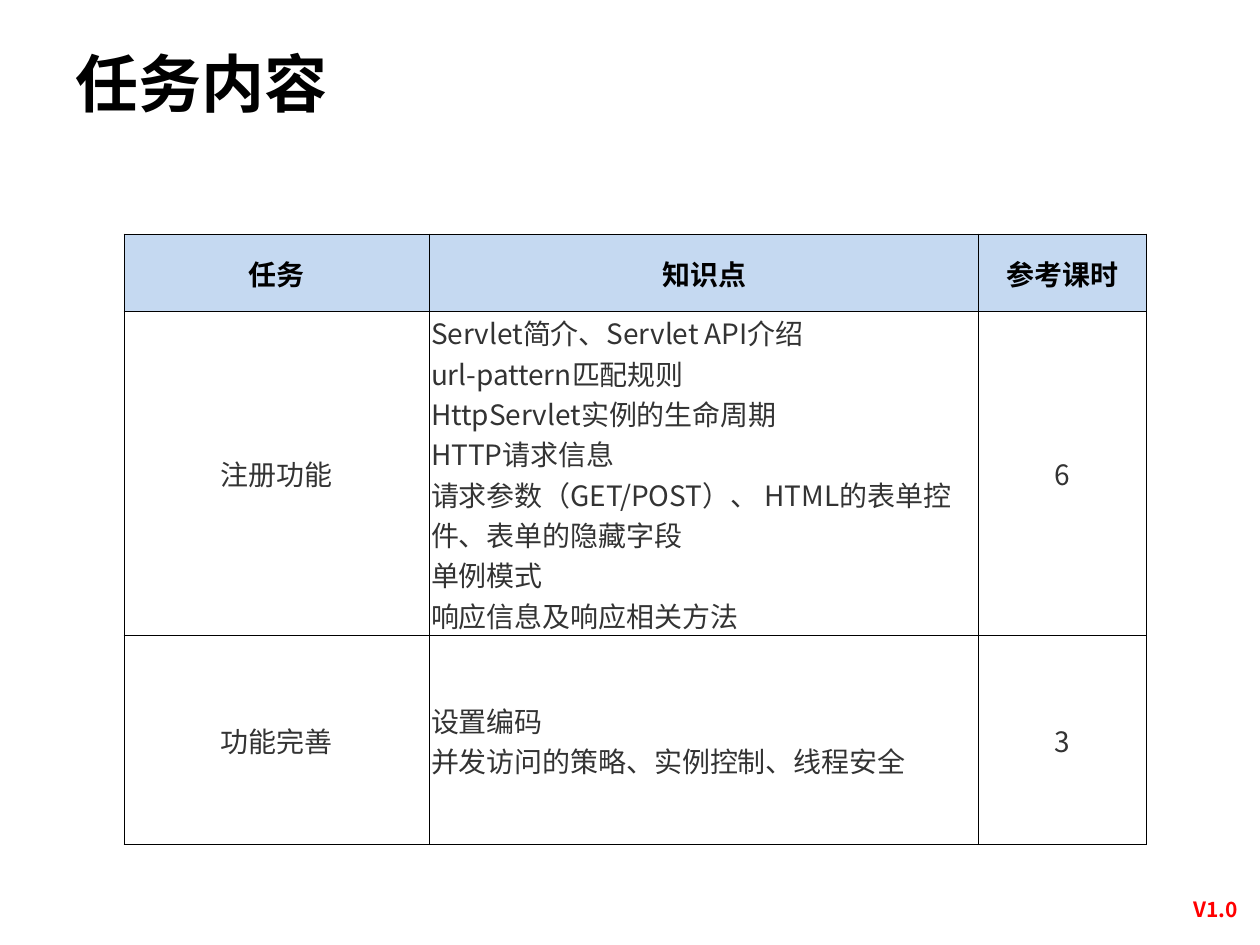
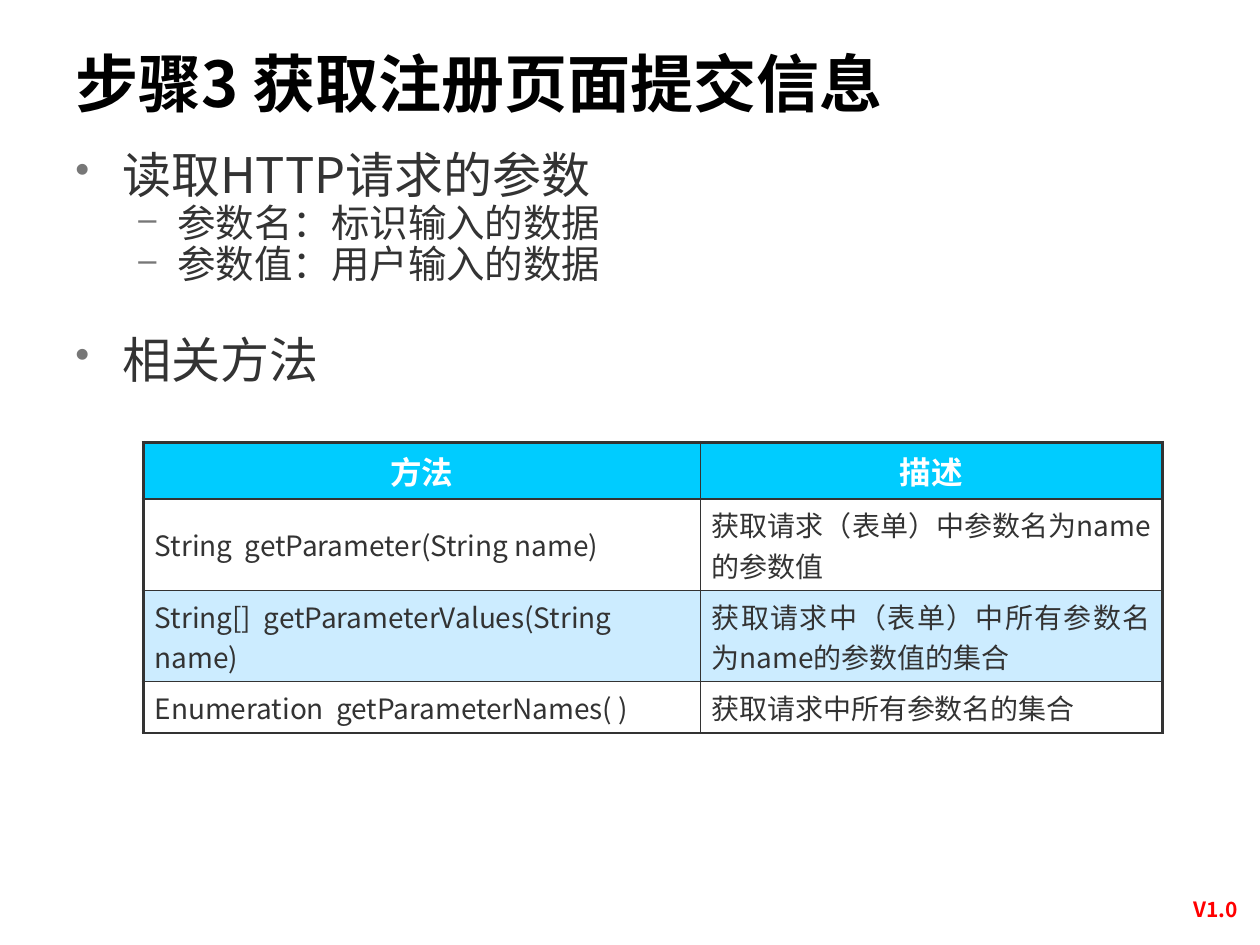
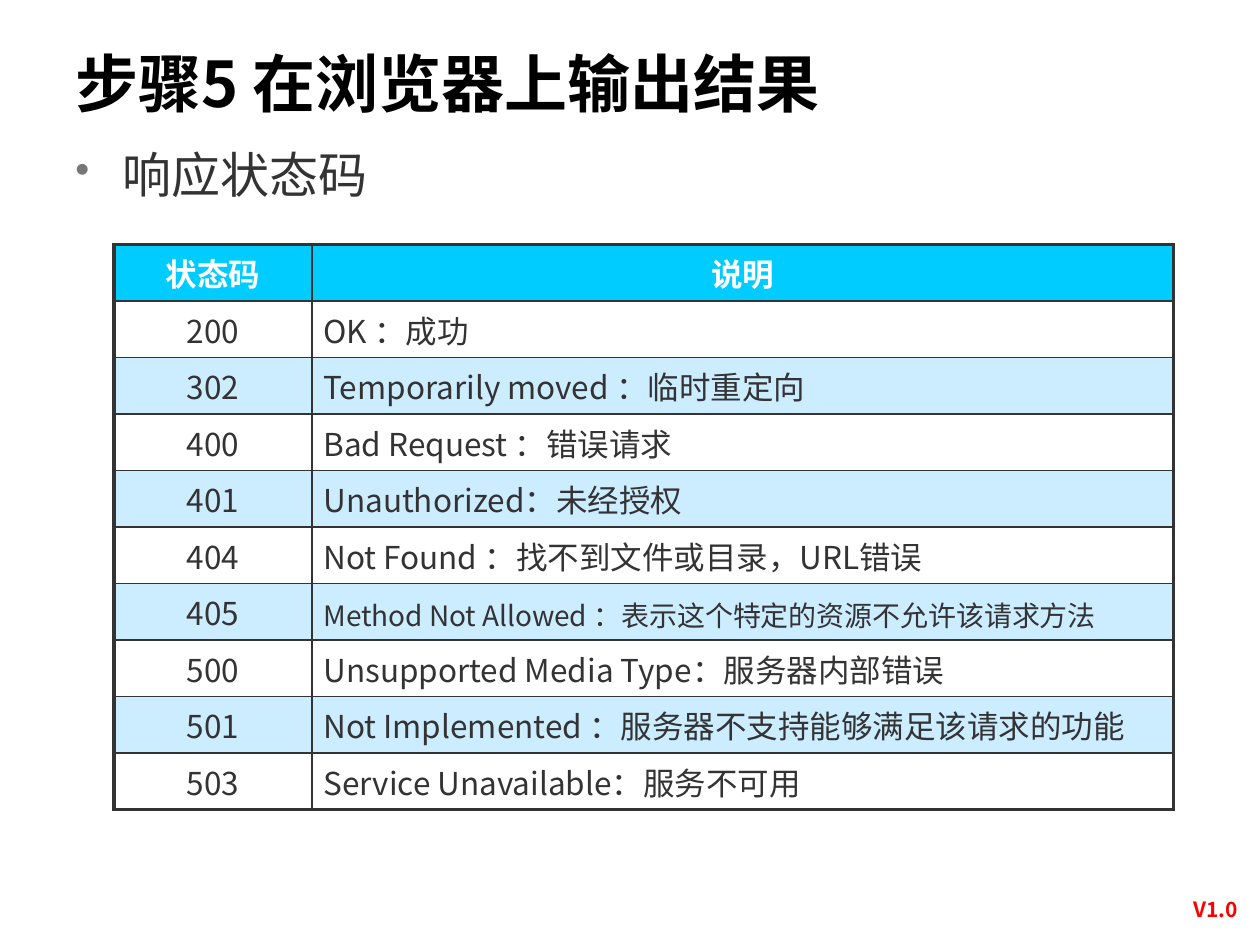
from lxml import etree
from pptx import Presentation
from pptx.dml.color import RGBColor
from pptx.enum.text import MSO_ANCHOR, PP_ALIGN
from pptx.oxml.ns import qn
from pptx.util import Cm, Pt

BLACK = RGBColor(0x00, 0x00, 0x00)
WHITE = RGBColor(0xFF, 0xFF, 0xFF)
INK = RGBColor(0x33, 0x33, 0x33)
BULLET_GREY = RGBColor(0x77, 0x77, 0x77)
VERSION_RED = RGBColor(0xFF, 0x00, 0x00)
PLAN_BLUE = RGBColor(0xC5, 0xD9, 0xF1)
HEADER_CYAN = RGBColor(0x00, 0xCC, 0xFF)
BAND_BLUE = RGBColor(0xCC, 0xEC, 0xFF)

LEFT, CENTER, JUSTIFY = PP_ALIGN.LEFT, PP_ALIGN.CENTER, PP_ALIGN.JUSTIFY
MIDDLE, BOTTOM, TOP = MSO_ANCHOR.MIDDLE, MSO_ANCHOR.BOTTOM, MSO_ANCHOR.TOP

FONT = "Noto Sans CJK SC"
TITLE_BOX = (1.27, 0.78, 20.24, 1.96)
BODY_BOX = (1.27, 2.92, 22.63, 13.79)
VERSION_BOX = (23.5, 17.94, 2.01, 0.76)

# Per outline level: bullet, size, left indent, hanging indent, space before
LEVELS = (("•", 28, 0.95, 0.95, 4), ("–", 22, 2.06, 0.79, 0))
SECTION_GAP = 24
THIN, THICK = 1, 2.25


def add_node(parent, tag, **attributes):
    node = etree.SubElement(parent, qn(tag))
    for name, value in attributes.items():
        node.set(name, str(value))
    return node


def write(para, text, size=16, color=INK, bold=False, align=LEFT, spacing=None, before=0):
    para.alignment = align
    para.space_before = Pt(before)
    if spacing:
        para.line_spacing = spacing
    span = para.add_run()
    span.text = text
    font = span.font
    font.name, font.size, font.bold = FONT, Pt(size), bold
    font.color.rgb = color
    add_node(font._element, "a:ea", typeface=FONT)


def write_lines(frame, lines, **style):
    for index, line in enumerate(lines):
        para = frame.add_paragraph() if index else frame.paragraphs[0]
        write(para, line, **style)


def add_frame(page, box, anchor):
    frame = page.shapes.add_textbox(*map(Cm, box)).text_frame
    frame.word_wrap = True
    frame.vertical_anchor = anchor
    return frame


def add_bullet(para, char, left, hanging):
    props = para._p.get_or_add_pPr()
    props.set("marL", str(Cm(left)))
    props.set("indent", str(-Cm(hanging)))
    add_node(add_node(props, "a:buClr"), "a:srgbClr", val=BULLET_GREY)
    add_node(props, "a:buSzPct", val=85000)
    add_node(props, "a:buChar", char=char)


def add_outline(page, items):
    """Write (level, text) items; a later top-level item opens a new section."""
    frame = add_frame(page, BODY_BOX, TOP)
    for index, (level, text) in enumerate(items):
        para = frame.add_paragraph() if index else frame.paragraphs[0]
        char, size, left, hanging, before = LEVELS[level]
        if index and level == 0:
            before += SECTION_GAP
        write(para, text, size=size, spacing=0.9, before=before)
        para.level = level
        add_bullet(para, char, left, hanging)


def set_borders(cell, color, widths):
    """Draw the left, right, top and bottom borders, widths in points."""
    props = cell._tc.get_or_add_tcPr()
    for index, (side, width) in enumerate(zip("LRTB", widths)):
        line = add_node(props, f"a:ln{side}", w=Pt(width))
        add_node(add_node(line, "a:solidFill"), "a:srgbClr", val=color)
        props.insert(index, line)


def style_cell(cell, fill, anchor, margins):
    cell.fill.solid()
    cell.fill.fore_color.rgb = fill
    cell.vertical_anchor = anchor
    (cell.margin_left, cell.margin_top,
     cell.margin_right, cell.margin_bottom) = map(Cm, margins)


def add_grid(page, left, top, widths, heights):
    table = page.shapes.add_table(len(heights), len(widths), Cm(left), Cm(top),
                                  Cm(sum(widths)), Cm(sum(heights))).table
    table.first_row = table.horz_banding = False
    for column, width in zip(table.columns, widths):
        column.width = Cm(width)
    for row, height in zip(table.rows, heights):
        row.height = Cm(height)
    return table


def add_plan_table(page, left, top, widths, heights, rows):
    table = add_grid(page, left, top, widths, heights)
    for r, row in enumerate(rows):
        for c, text in enumerate(row):
            cell = table.cell(r, c)
            header = r == 0
            style_cell(cell, PLAN_BLUE if header else WHITE, MIDDLE, (0.03, 0.03, 0.03, 0))
            set_borders(cell, BLACK, (0.5,) * 4)
            write_lines(cell.text_frame, text.split("\n"), bold=header,
                        color=BLACK if header else INK,
                        align=LEFT if c == 1 and not header else CENTER)


def add_banded_table(page, left, top, widths, heights, rows, aligns,
                     size=18, bottom=THIN, small_cells=()):
    """Add a two-column table with a cyan header and every second row tinted."""
    table = add_grid(page, left, top, widths, heights)
    last = len(rows) - 1
    for r, row in enumerate(rows):
        header = r == 0
        fill = HEADER_CYAN if header else (WHITE if r % 2 else BAND_BLUE)
        for c, text in enumerate(row):
            cell = table.cell(r, c)
            style_cell(cell, fill, BOTTOM if c else MIDDLE, (0.23, 0.11, 0.23, 0.11))
            set_borders(cell, INK, (THIN if c else THICK, THICK if c else THIN,
                                    THICK if header else THIN,
                                    bottom if r == last else THIN))
            text_size = 18 if header else 16 if (r, c) in small_cells else size
            write(cell.text_frame.paragraphs[0], text, size=text_size, bold=header,
                  color=WHITE if header else INK, align=CENTER if header else aligns[c])


def add_page(deck, title):
    page = deck.slides.add_slide(deck.slide_layouts[6])
    write(add_frame(page, VERSION_BOX, BOTTOM).paragraphs[0], "V1.0",
          size=12, color=VERSION_RED, bold=True, align=CENTER)
    write(add_frame(page, TITLE_BOX, MIDDLE).paragraphs[0], title,
          size=36, color=BLACK, bold=True, spacing=0.9)
    return page


def build_task_page(deck):
    page = add_page(deck, "任务内容")
    topics = "\n".join((
        "Servlet简介、Servlet API介绍",
        "url-pattern匹配规则",
        "HttpServlet实例的生命周期",
        "HTTP请求信息",
        "请求参数（GET/POST）、 HTML的表单控件、表单的隐藏字段",
        "单例模式",
        "响应信息及响应相关方法",
    ))
    add_plan_table(page, 2.5, 4.72, (6.16, 11.07, 3.38), (1.55, 6.53, 4.23), (
        ("任务", "知识点", "参考课时"),
        ("注册功能", topics, "6"),
        ("功能完善", "设置编码\n并发访问的策略、实例控制、线程安全", "3"),
    ))


def build_parameter_page(deck):
    page = add_page(deck, "步骤3 获取注册页面提交信息")
    add_outline(page, (
        (0, "读取HTTP请求的参数"),
        (1, "参数名：标识输入的数据"),
        (1, "参数值：用户输入的数据"),
        (0, "相关方法"),
    ))
    add_banded_table(page, 2.89, 8.92, (11.23, 9.31), (1.14, 1.84, 1.84, 1.04), (
        ("方法", "描述"),
        ("String  getParameter(String name)", "获取请求（表单）中参数名为name的参数值"),
        ("String[]  getParameterValues(String name)",
         "获取请求中（表单）中所有参数名为name的参数值的集合"),
        ("Enumeration  getParameterNames( )", "获取请求中所有参数名的集合"),
    ), aligns=(LEFT, JUSTIFY), size=16)


def build_status_page(deck):
    page = add_page(deck, "步骤5 在浏览器上输出结果")
    add_outline(page, ((0, "响应状态码"),))
    rows = (
        ("状态码", "说明"),
        ("200", "OK ：成功"),
        ("302", "Temporarily moved ：临时重定向"),
        ("400", "Bad Request ：错误请求"),
        ("401", "Unauthorized：未经授权"),
        ("404", "Not Found ：找不到文件或目录，URL错误"),
        ("405", "Method Not Allowed ：表示这个特定的资源不允许该请求方法"),
        ("500", "Unsupported Media Type：服务器内部错误"),
        ("501", "Not Implemented ：服务器不支持能够满足该请求的功能"),
        ("503", "Service Unavailable：服务不可用"),
    )
    add_banded_table(page, 2.3, 4.93, (3.99, 17.37), (1.14,) * len(rows), rows,
                     aligns=(CENTER, LEFT), bottom=THICK, small_cells={(6, 1)})


def main():
    deck = Presentation()
    deck.slide_width, deck.slide_height = Cm(25.4), Cm(19.05)
    build_task_page(deck)
    build_parameter_page(deck)
    build_status_page(deck)
    deck.save("out.pptx")


if __name__ == "__main__":
    main()
